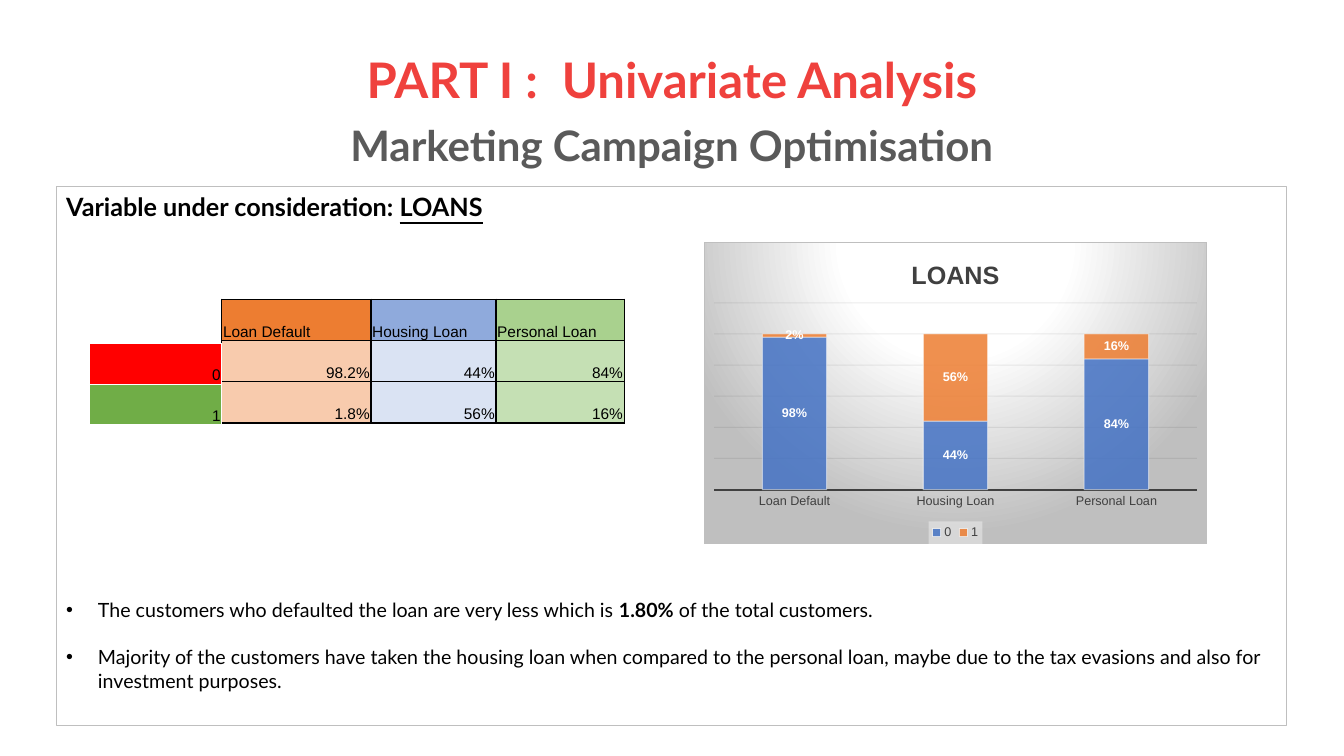
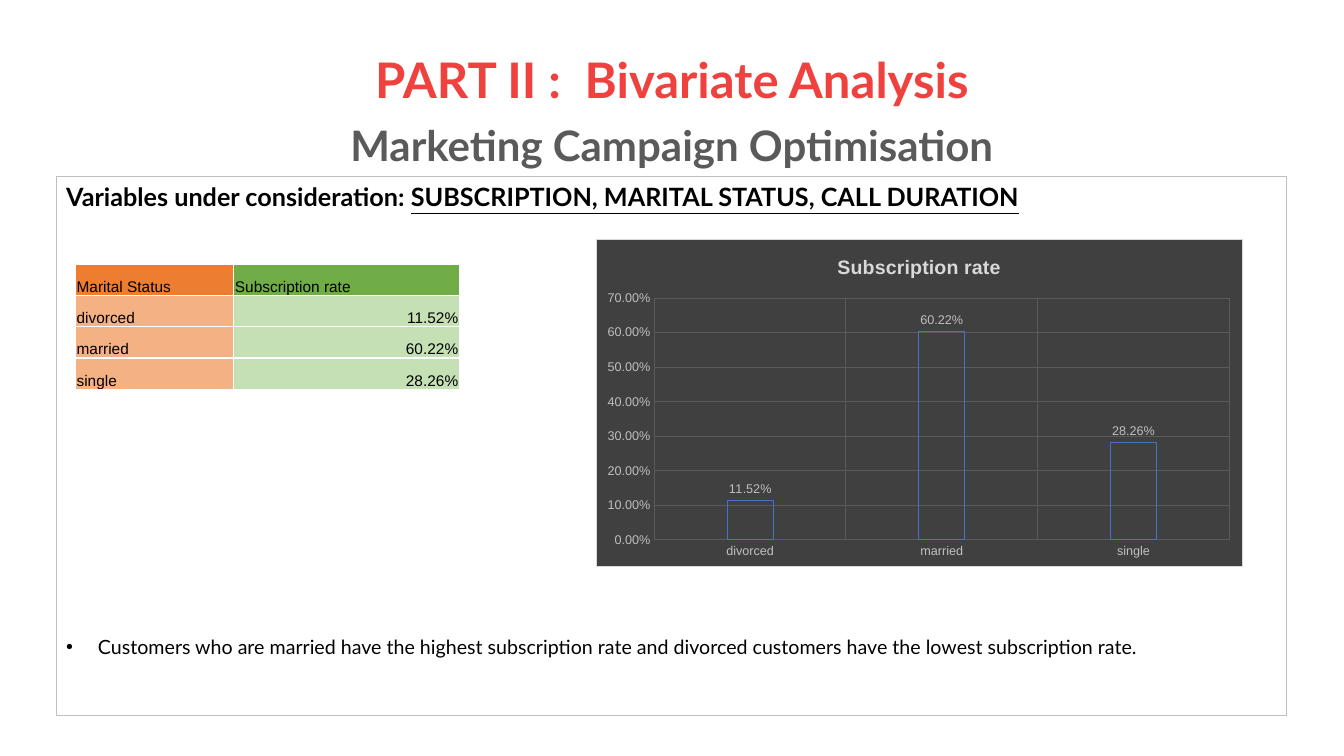
from pptx import Presentation
from pptx.chart.data import CategoryChartData
from pptx.dml.color import RGBColor
from pptx.enum.chart import XL_CHART_TYPE as ChartType, XL_LABEL_POSITION as LabelPosition
from pptx.enum.chart import XL_LEGEND_POSITION as LegendPosition, XL_TICK_MARK as TickMark
from pptx.enum.shapes import MSO_SHAPE as Shape
from pptx.enum.text import MSO_ANCHOR as Anchor, PP_ALIGN as Align
from pptx.oxml import parse_xml
from pptx.oxml.ns import nsdecls, qn
from pptx.util import Cm, Pt


class Theme:
    text_font, data_font = "Lato", "Arial"
    title_size, subtitle_size, heading_size, body_size = 35, 30, 18, 14
    table_size, label_size = 11, 9
    black, white, red, grey = "000000", "FFFFFF", "EF413D", "5A5A5A"
    frame, dark, pale = "BFBFBF", "404040", "D9D9D9"
    blue, orange, green = "4472C4", "ED7D31", "70AD47"
    light_orange, mid_orange = "F8CBAD", "F4B183"
    light_blue, mid_blue = "DAE3F3", "8FAADC"
    light_green, mid_green = "C5E0B4", "A9D18E"
    zero_row, loan_grid = "FF0000", "0D0D0D"


def style_font(font, size, color, bold=False, name=Theme.data_font):
    font.name, font.size, font.bold = name, Pt(size), bold
    font.color.rgb = RGBColor.from_string(color)


def fill_xml(color, alpha=100):
    return (f'<a:solidFill {nsdecls("a")}><a:srgbClr val="{color}">'
            f'<a:alpha val="{alpha * 1000}"/></a:srgbClr></a:solidFill>')


spotlight = (
    '<a:gradFill><a:gsLst>'
    + "".join(f'<a:gs pos="{stop * 1000}"><a:srgbClr val="{color}"/></a:gs>'
              for stop, color in ((0, Theme.white), (39, Theme.white), (100, Theme.frame)))
    + '</a:gsLst><a:path path="circle">'
    '<a:fillToRect l="50000" t="-80000" r="50000" b="180000"/></a:path></a:gradFill>')

slides = [
    dict(
        title="PART I :  Univariate Analysis",
        top=4.7,
        heading=("Variable under consideration: ", "LOANS"),
        bullets=[
            [("The customers who defaulted the loan are very less which is ", False),
             ("1.80%", True), (" of the total customers.", False)],
            [("Majority of the customers have taken the housing loan when compared to the "
              "personal loan, maybe due to the tax evasions and also for investment purposes.",
              False)],
        ],
        bullet_gap=268.8,
        tables=[
            dict(at=(5.59, 7.54), columns=(3.76, 3.15, 3.23), row=1.04, border=Theme.black,
                 rows=[("Loan Default", "Housing Loan", "Personal Loan"),
                       ("98.2%", "44%", "84%"), ("1.8%", "56%", "16%")],
                 fills=[(Theme.orange, Theme.mid_blue, Theme.mid_green)]
                 + [(Theme.light_orange, Theme.light_blue, Theme.light_green)] * 2),
            dict(at=(2.26, 8.66), columns=(3.33,), row=1.02, border=Theme.white,
                 rows=[("0",), ("1",)], fills=[(Theme.zero_row,), (Theme.green,)]),
        ],
        chart=dict(
            kind=ChartType.COLUMN_STACKED, at=(17.73, 6.1, 12.7, 7.62),
            title="LOANS", title_size=18, title_color=Theme.dark,
            categories=("Loan Default", "Housing Loan", "Personal Loan"),
            series=[("0", (0.98, 0.44, 0.84), Theme.blue, Theme.white),
                    ("1", (0.02, 0.56, 0.16), Theme.orange, Theme.white)],
            series_alpha=(85, 50), gap=150, overlap=100, format="0%",
            maximum=1.2, step=0.2, axis_color=Theme.dark,
            grid=Theme.loan_grid, grid_alpha=8,
            label_color=Theme.white, label_bold=True, label_position=LabelPosition.CENTER,
            background=spotlight, border=Theme.frame,
            plot=(0.02, 0.2, 0.96, 0.62), stacked=True),
    ),
    dict(
        title="PART II :  Bivariate Analysis",
        top=4.45,
        heading=("Variables under consideration: ", "SUBSCRIPTION, MARITAL STATUS, CALL DURATION"),
        bullets=[
            [("Customers who are married have the highest subscription rate and divorced "
              "customers have the lowest subscription rate.", False)],
        ],
        bullet_gap=302.4,
        tables=[
            dict(at=(1.9, 6.65), columns=(3.99, 5.69), row=0.79, border=Theme.white,
                 rows=[("Marital Status", "Subscription rate"), ("divorced", "11.52%"),
                       ("married", "60.22%"), ("single", "28.26%")],
                 fills=[(Theme.orange, Theme.green)]
                 + [(Theme.mid_orange, Theme.light_green)] * 3),
        ],
        chart=dict(
            kind=ChartType.COLUMN_CLUSTERED, at=(15.01, 6.02, 16.31, 8.26),
            title="Subscription rate", title_size=14, title_color=Theme.pale,
            categories=("divorced", "married", "single"),
            series=[("Subscription rate", (0.1152, 0.6022, 0.2826), None, Theme.blue)],
            series_alpha=(100,), gap=315, overlap=-40, format="0.00%",
            maximum=0.7, step=0.1, axis_color=Theme.frame,
            grid=Theme.grey, grid_alpha=100,
            label_color=Theme.frame, label_bold=False, label_position=LabelPosition.OUTSIDE_END,
            background=fill_xml(Theme.dark), border=Theme.pale,
            plot=(0.09, 0.18, 0.89, 0.74), stacked=False),
    ),
]

deck = Presentation()
deck.slide_width, deck.slide_height = Cm(33.87), Cm(19.05)

for content in slides:
    page = deck.slides.add_slide(deck.slide_layouts[6])

    title_box = page.shapes.add_textbox(Cm(2.33), Cm(1.02), Cm(29.21), Cm(3.68))
    frame = title_box.text_frame
    frame.word_wrap, frame.vertical_anchor = True, Anchor.MIDDLE
    title_lines = ((content["title"], Theme.title_size, Theme.red, 0),
                   ("Marketing Campaign Optimisation", Theme.subtitle_size, Theme.grey, 11))
    for index, (text, size, color, gap) in enumerate(title_lines):
        para = frame.add_paragraph() if index else frame.paragraphs[0]
        para.alignment, para.line_spacing, para.space_before = Align.CENTER, 0.9, Pt(gap)
        span = para.add_run()
        span.text = text
        style_font(span.font, size, color, True, Theme.text_font)

    body = page.shapes.add_shape(Shape.RECTANGLE, Cm(1.42), Cm(content["top"]), Cm(31.01), Cm(13.59))
    body.shadow.inherit = False
    body.fill.background()
    body.line.color.rgb = RGBColor.from_string(Theme.frame)
    body.line.width = Pt(0.75)
    frame = body.text_frame
    frame.word_wrap, frame.vertical_anchor = True, Anchor.TOP
    para = frame.paragraphs[0]
    para.alignment = Align.LEFT
    for text, underlined in zip(content["heading"], (False, True)):
        span = para.add_run()
        span.text = text
        style_font(span.font, Theme.heading_size, Theme.black, True, Theme.text_font)
        span.font.underline = underlined
    for index, spans in enumerate(content["bullets"]):
        para = frame.add_paragraph()
        para.alignment = Align.LEFT
        para.space_before = Pt(16.8 if index else content["bullet_gap"])
        for text, bold in spans:
            span = para.add_run()
            span.text = text
            style_font(span.font, Theme.body_size, Theme.black, bold, Theme.text_font)
        properties = para._p.get_or_add_pPr()
        properties.set("marL", str(Cm(0.8)))
        properties.set("indent", str(-Cm(0.8)))
        properties.append(parse_xml(f'<a:buFont {nsdecls("a")} typeface="Arial"/>'))
        properties.append(parse_xml(f'<a:buChar {nsdecls("a")} char="•"/>'))

    for grid in content["tables"]:
        rows, columns = grid["rows"], grid["columns"]
        holder = page.shapes.add_table(
            len(rows), len(columns), *map(Cm, grid["at"]),
            Cm(sum(columns)), Cm(grid["row"] * len(rows)))
        table = holder.table
        table.first_row = table.horz_banding = False
        for column, width in zip(table.columns, columns):
            column.width = Cm(width)
        for row, texts, fills in zip(table.rows, rows, grid["fills"]):
            row.height = Cm(grid["row"])
            for cell, text, color in zip(row.cells, texts, fills):
                cell.fill.solid()
                cell.fill.fore_color.rgb = RGBColor.from_string(color)
                cell.margin_left = cell.margin_right = cell.margin_top = Cm(0.03)
                cell.margin_bottom = 0
                cell.vertical_anchor = Anchor.BOTTOM
                para = cell.text_frame.paragraphs[0]
                para.alignment = Align.RIGHT if text[0].isdigit() else Align.LEFT
                span = para.add_run()
                span.text = text
                style_font(span.font, Theme.table_size, Theme.black)
        for properties in holder.element.iter(qn("a:tcPr")):
            for index, side in enumerate("LRTB"):
                properties.insert(index, parse_xml(
                    f'<a:ln{side} {nsdecls("a")} w="12700">{fill_xml(grid["border"])}</a:ln{side}>'))

    look = content["chart"]
    data = CategoryChartData(number_format=look["format"])
    data.categories = look["categories"]
    for name, values, *_ in look["series"]:
        data.add_series(name, values)
    chart = page.shapes.add_chart(look["kind"], *map(Cm, look["at"]), data).chart
    style_font(chart.font, 10, Theme.black)
    chart.has_title = True
    span = chart.chart_title.text_frame.paragraphs[0].add_run()
    span.text = look["title"]
    style_font(span.font, look["title_size"], look["title_color"], True)
    chart.chart_title.include_in_layout = False

    plot = chart.plots[0]
    plot.gap_width, plot.overlap, plot.vary_by_categories = look["gap"], look["overlap"], False
    plot.has_data_labels = True
    labels = plot.data_labels
    labels.show_value, labels.position = True, look["label_position"]
    labels.number_format, labels.number_format_is_linked = look["format"], False
    style_font(labels.font, Theme.label_size, look["label_color"], look["label_bold"])
    for series, (_, _, color, outline) in zip(plot.series, look["series"]):
        if color:
            series.format.fill.solid()
            series.format.fill.fore_color.rgb = RGBColor.from_string(color)
        else:
            series.format.fill.background()
        series.format.line.color.rgb = RGBColor.from_string(outline)
        series.format.line.width = Pt(0.75)

    categories, values = chart.category_axis, chart.value_axis
    values.minimum_scale, values.maximum_scale, values.major_unit = 0, look["maximum"], look["step"]
    values.tick_labels.number_format = look["format"]
    values.tick_labels.number_format_is_linked = False
    values.visible = not look["stacked"]
    categories.has_major_gridlines = not look["stacked"]
    for axis in (categories, values):
        axis.major_tick_mark = axis.minor_tick_mark = TickMark.NONE
        style_font(axis.tick_labels.font, Theme.label_size, look["axis_color"])
        axis.format.line.fill.background()
        if axis.has_major_gridlines:
            line = axis.major_gridlines.format.line
            line.color.rgb = RGBColor.from_string(look["grid"])
            line.width = Pt(0.75)

    root = chart.element
    chart.has_legend = look["stacked"]
    if look["stacked"]:
        categories.format.line.color.rgb = RGBColor.from_string(look["axis_color"])
        categories.format.line.width = Pt(1.5)
        chart.legend.position = LegendPosition.BOTTOM
        chart.legend.include_in_layout = False
        style_font(chart.legend.font, Theme.label_size, look["axis_color"])
        root.find(f'.//{qn("c:legend")}/{qn("c:txPr")}').addprevious(parse_xml(
            f'<c:spPr {nsdecls("c", "a")}>{fill_xml(Theme.white, 39)}</c:spPr>'))

    for tag, alphas in (("c:ser", look["series_alpha"]), ("c:majorGridlines", (look["grid_alpha"],))):
        for part in root.iter(qn(tag)):
            for color, alpha in zip(part.find(qn("c:spPr")).iter(qn("a:srgbClr")), alphas):
                color.append(parse_xml(f'<a:alpha {nsdecls("a")} val="{alpha * 1000}"/>'))

    area = root.find(f'.//{qn("c:plotArea")}')
    for layout in area.findall(qn("c:layout")):
        area.remove(layout)
    sides = "".join(f'<c:{side} val="{value}"/>' for side, value in zip("xywh", look["plot"]))
    area.insert(0, parse_xml(
        f'<c:layout {nsdecls("c")}><c:manualLayout><c:layoutTarget val="inner"/>'
        f'<c:xMode val="edge"/><c:yMode val="edge"/>{sides}</c:manualLayout></c:layout>'))
    root.find(qn("c:chart")).addnext(parse_xml(
        f'<c:spPr {nsdecls("c", "a")}>{look["background"]}'
        f'<a:ln w="9525">{fill_xml(look["border"])}</a:ln></c:spPr>'))

deck.save("out.pptx")
